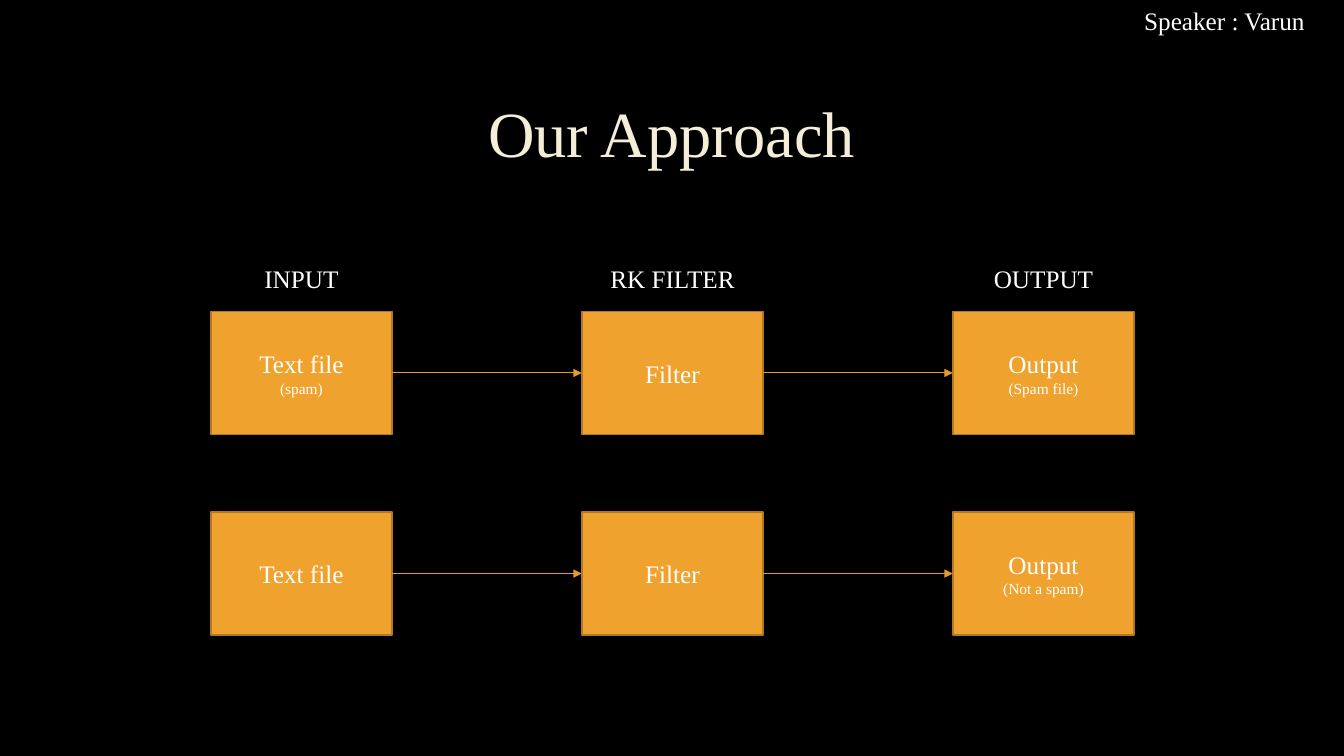
from lxml import etree
from pptx import Presentation
from pptx.dml.color import RGBColor
from pptx.enum import shapes, text
from pptx.oxml.ns import qn
from pptx.util import Inches, Pt

BLACK = RGBColor(0x00, 0x00, 0x00)
WHITE = RGBColor(0xFF, 0xFF, 0xFF)
CREAM = RGBColor(0xF4, 0xED, 0xD8)
ORANGE = RGBColor(0xF0, 0xA2, 0x2E)
BROWN = RGBColor(0xB2, 0x78, 0x22)
ARROW = RGBColor(0xE5, 0x9B, 0x2C)
FONT = "Times New Roman"

BOX_WIDTH, BOX_HEIGHT = 1.8, 1.22
COLUMN_STEP, ROW_STEP = 3.68, 1.99
HEADING_WIDTH, HEADING_HEIGHT, HEADING_RISE = 1.47, 0.41, 0.53

HEADINGS = ["INPUT", "RK FILTER", "OUTPUT"]
FLOWS = [
    [["Text file", "(spam)"], ["Filter"], ["Output", "(Spam file)"]],
    [["Text file"], ["Filter"], ["Output", "(Not a spam)"]],
]


def add_span(para, words, size, color=WHITE):
    span = para.add_run()
    span.text = words
    span.font.name = FONT
    span.font.size = Pt(size)
    span.font.color.rgb = color


def add_title(page, left, top, width, height):
    title = page.shapes.title
    title.left, title.top = Inches(left), Inches(top)
    title.width, title.height = Inches(width), Inches(height)
    title.text_frame.vertical_anchor = text.MSO_ANCHOR.MIDDLE
    para = title.text_frame.paragraphs[0]
    para.alignment = text.PP_ALIGN.CENTER
    para.line_spacing = 0.9
    add_span(para, "Our Approach", 46, CREAM)


def add_label(page, words, left, top, width, height, align):
    label = page.shapes.add_textbox(
        Inches(left), Inches(top), Inches(width), Inches(height))
    label.text_frame.word_wrap = True
    label.text_frame.auto_size = text.MSO_AUTO_SIZE.SHAPE_TO_FIT_TEXT
    para = label.text_frame.paragraphs[0]
    para.alignment = align
    add_span(para, words, 18)


def add_step(page, lines, left, top):
    """Draw one box: a main line and, if given, a smaller line below it."""
    box = page.shapes.add_shape(
        shapes.MSO_SHAPE.RECTANGLE, Inches(left), Inches(top),
        Inches(BOX_WIDTH), Inches(BOX_HEIGHT))
    box.shadow.inherit = False
    box.fill.solid()
    box.fill.fore_color.rgb = ORANGE
    box.line.color.rgb = BROWN
    box.line.width = Pt(1.25)
    frame = box.text_frame
    frame.word_wrap = True
    frame.vertical_anchor = text.MSO_ANCHOR.MIDDLE
    for index, (words, size) in enumerate(zip(lines, (18, 11))):
        para = frame.add_paragraph() if index else frame.paragraphs[0]
        para.alignment = text.PP_ALIGN.CENTER
        add_span(para, words, size)
    return box


def add_arrow(page, source, target):
    """Join the right side of one box to the left side of the next."""
    arrow = page.shapes.add_connector(shapes.MSO_CONNECTOR.STRAIGHT, 0, 0, 0, 0)
    arrow.begin_connect(source, 3)
    arrow.end_connect(target, 1)
    arrow.line.color.rgb = ARROW
    arrow.line.width = Pt(0.75)
    etree.SubElement(arrow.line._get_or_add_ln(), qn("a:tailEnd"), type="triangle")
    etree.SubElement(arrow._element.spPr, qn("a:effectLst"))


def add_headings(page, left, top):
    inset = (BOX_WIDTH - HEADING_WIDTH) / 2
    for column, words in enumerate(HEADINGS):
        add_label(page, words, left + inset + column * COLUMN_STEP, top,
                  HEADING_WIDTH, HEADING_HEIGHT, text.PP_ALIGN.CENTER)


def add_flow(page, steps, left, top):
    boxes = [add_step(page, lines, left + column * COLUMN_STEP, top)
             for column, lines in enumerate(steps)]
    for source, target in zip(boxes, boxes[1:]):
        add_arrow(page, source, target)


def add_diagram(page, left, top):
    add_headings(page, left, top - HEADING_RISE)
    for row, steps in enumerate(FLOWS):
        add_flow(page, steps, left, top + row * ROW_STEP)


def main():
    deck = Presentation()
    deck.slide_width, deck.slide_height = Inches(13.33), Inches(7.5)
    page = deck.slides.add_slide(deck.slide_layouts.get_by_name("Title Only"))
    page.background.fill.solid()
    page.background.fill.fore_color.rgb = BLACK
    add_title(page, 1, 0.67, 11.32, 1.38)
    add_diagram(page, 2.09, 3.09)
    add_label(page, "Speaker : Varun", 11.25, 0, 2.08, 0.4, text.PP_ALIGN.LEFT)
    deck.save("out.pptx")


if __name__ == "__main__":
    main()
